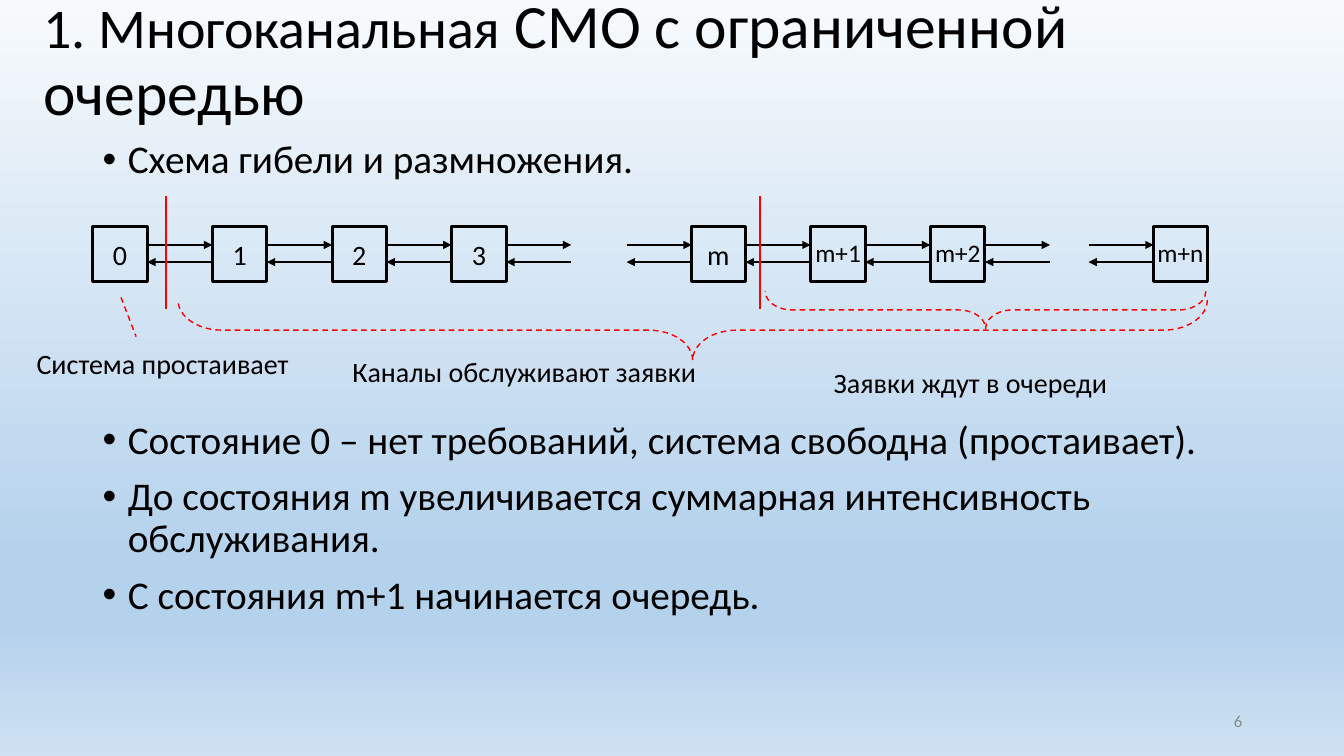
from lxml import etree
from pptx import Presentation, util as u
from pptx.dml.color import RGBColor
from pptx.enum import dml, shapes, text
from pptx.oxml import ns

COLORS = {"ink": "000000", "mark": "FF0000", "number": "8C8C8C"}
SKY = [(0, "F7FAFD"), (74, "B5D2EC"), (83, "B5D2EC"), (100, "CEE1F2")]
CELL = u.Inches(0.1)  # one grid column is as wide as one row is high


def grid(*cells):
    return [round(n * CELL) for n in cells]


def add_xml(parent, tag, **attributes):
    return etree.SubElement(parent, ns.qn(tag), attributes)


class Board:
    """Holds the style and the current slide; lengths are grid columns and rows."""

    font = "Calibri"

    def __init__(self, prs):
        self.slide = prs.slides.add_slide(prs.slide_layouts[6])

    def background(self, stops):
        fill = self.slide.background.fill
        fill.gradient()
        fill.gradient_angle = 270
        stop_list = self.slide.element.find(".//" + ns.qn("a:gsLst"))
        for old in list(stop_list):
            stop_list.remove(old)
        for share, color in stops:
            stop = add_xml(stop_list, "a:gs", pos=str(share * 1000))
            add_xml(stop, "a:srgbClr", val=color)

    def run(self, paragraph, words, size, color="ink"):
        run = paragraph.add_run()
        run.text = words
        run.font.name, run.font.size = self.font, u.Pt(size)
        run.font.color.rgb = RGBColor.from_string(COLORS[color])

    def stroke(self, line, color, width, dashed=False):
        line.color.rgb = RGBColor.from_string(COLORS[color])
        line.width = u.Pt(width)
        if dashed:
            line.dash_style = dml.MSO_LINE.DASH

    def text(self, box, runs, align=text.PP_ALIGN.LEFT, color="ink", spacing=None):
        frame = self.slide.shapes.add_textbox(*grid(*box)).text_frame
        frame.word_wrap = True
        frame.vertical_anchor = text.MSO_ANCHOR.MIDDLE
        paragraph = frame.paragraphs[0]
        paragraph.alignment = align
        if spacing:
            paragraph.line_spacing = spacing
        for words, size in runs:
            self.run(paragraph, words, size, color)

    def bullets(self, box, items, size):
        frame = self.slide.shapes.add_textbox(*grid(*box)).text_frame
        frame.word_wrap = True
        for i, (words, before) in enumerate(items):
            paragraph = frame.add_paragraph() if i else frame.paragraphs[0]
            props = paragraph._p.get_or_add_pPr()
            indent = u.Inches(0.25)
            props.set("marL", str(indent))
            props.set("indent", str(-indent))
            add_xml(props, "a:buFont", typeface="Arial")
            add_xml(props, "a:buChar", char="•")
            paragraph.line_spacing = 0.9
            paragraph.space_before = u.Pt(before)
            self.run(paragraph, words, size)

    def outline(self, preset, box, color, width, dashed=False):
        shape = self.slide.shapes.add_shape(preset, *grid(*box))
        shape.shadow.inherit = False
        shape.fill.background()
        self.stroke(shape.line, color, width, dashed)
        return shape

    def state(self, box, label, size):
        square = self.outline(shapes.MSO_SHAPE.RECTANGLE, box, "ink", 2.25)
        frame = square.text_frame
        frame.margin_left = frame.margin_right = frame.margin_top = 0
        frame.margin_bottom = u.Pt(20 - size)
        frame.word_wrap = False
        frame.vertical_anchor = text.MSO_ANCHOR.MIDDLE
        paragraph = frame.paragraphs[0]
        paragraph.alignment = text.PP_ALIGN.CENTER
        self.run(paragraph, label, size)

    def brace(self, left, top, width, height):
        """Brace pointing down: a left brace turned by 270 degrees."""
        box = (left + (width - height) / 2, top + (height - width) / 2, height, width)
        brace = self.outline(shapes.MSO_SHAPE.LEFT_BRACE, box, "mark", 1, dashed=True)
        brace.rotation = 270
        brace.adjustments[0], brace.adjustments[1] = 0.727, 0.5

    def line(self, ends, color="ink", width=1.0, dashed=False, arrow=False):
        line = self.slide.shapes.add_connector(shapes.MSO_CONNECTOR.STRAIGHT, *grid(*ends))
        self.stroke(line.line, color, width, dashed)
        if arrow:
            add_xml(line.line._get_or_add_ln(), "a:tailEnd", type="triangle")
        add_xml(line._element.spPr, "a:effectLst")

    def transitions(self, left):
        """Arrow there and arrow back between two neighbouring states."""
        right = left + 6.45
        self.line((left, 24.3, right, 24.3), arrow=True)
        self.line((right, 26, left, 26), arrow=True)


def main():
    prs = Presentation()
    prs.slide_width, prs.slide_height = u.Inches(13.33), u.Inches(7.5)
    board = Board(prs)
    board.background(SKY)

    # Title, statements and slide number
    board.text((3.3, -1.1, 130.8, 14.5),
               [("1. Многоканальная", 40), (" СМО с ограниченной очередью", 44)],
               spacing=0.9)
    diagram_gap = 170  # points left free for the diagram
    board.bullets((9.2, 13.4, 115, 56.1), [
        ("Схема гибели и размножения.", 0),
        ("Состояние 0 – нет требований, система свободна (простаивает).", diagram_gap),
        ("До состояния m увеличивается суммарная интенсивность обслуживания.", 10),
        ("С состояния m+1 начинается очередь.", 10),
    ], 28)
    board.text((94.2, 69.5, 30, 4), [("6", 12)], text.PP_ALIGN.RIGHT, "number")

    # Chain of states: label, place in the chain
    first, pitch, side = 9.2, 11.87, 5.4
    chain = [("0", 0), ("1", 1), ("2", 2), ("3", 3), ("m", 5),
             ("m+1", 6), ("m+2", 7), ("m+n", 8.86)]
    for label, place in chain:
        left = first + place * pitch
        board.state((left, 22.5, side, side), label, 20 if len(label) == 1 else 18)
        if label in ("m", "m+n"):
            board.transitions(left - 6.4)
        if label != "m+n":
            board.transitions(left + side)

    # Borders between idle, serving and queueing states
    for border in (16.5, 75.4):
        board.line((border, 19.4, border, 30.7), "mark", 1.5)

    # Captions with their marks
    for left, top, width, caption in [
        (1.7, 33.8, 29.5, "Система простаивает "),
        (33.4, 34.6, 37.2, "Каналы обслуживают заявки"),
        (81.5, 35.7, 29.5, "Заявки ждут в очереди"),
    ]:
        board.text((left, top, width, 4.4), [(caption, 20)], text.PP_ALIGN.CENTER)
    board.line((12, 29.5, 13.5, 33.4), "mark", dashed=True)
    board.brace(17.65, 29.75, 102.1, 6)
    board.brace(75.9, 28.9, 43.7, 3.7)

    prs.save("out.pptx")


if __name__ == "__main__":
    main()
